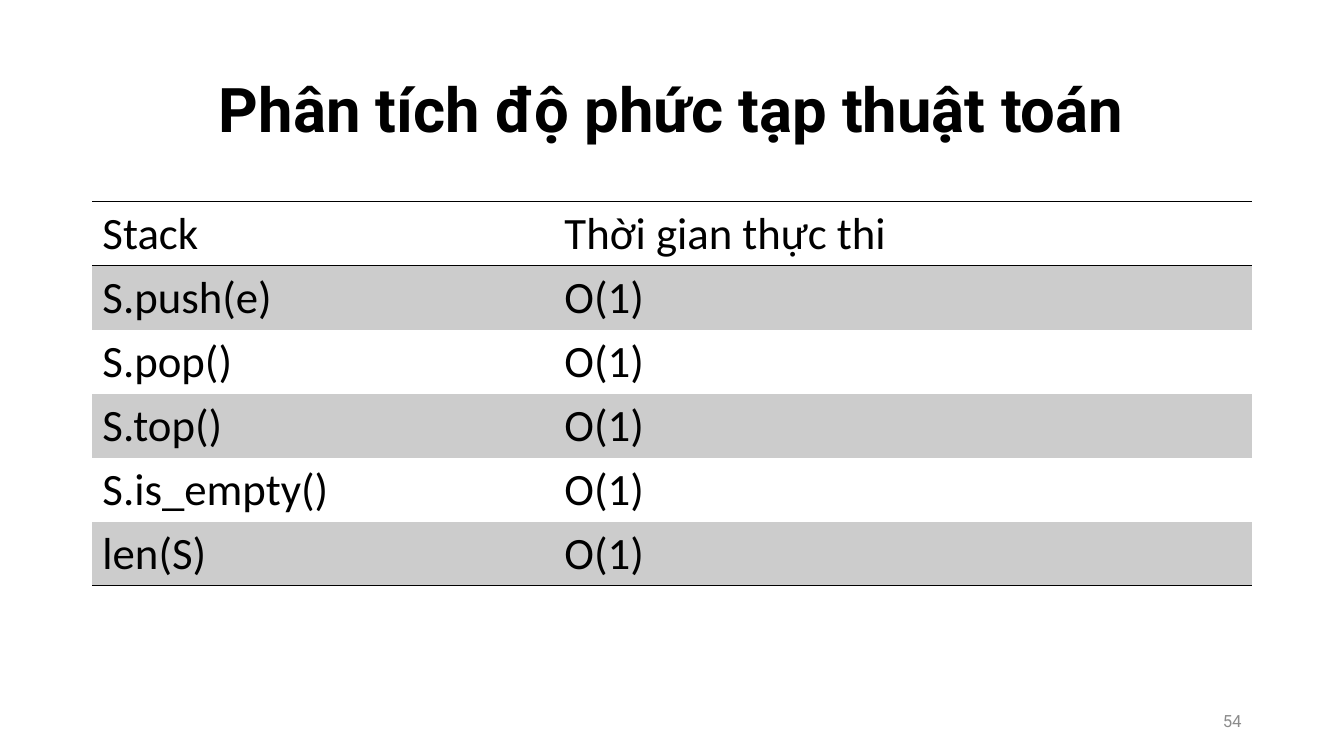
from dataclasses import dataclass

from lxml.etree import SubElement as Sub
from pptx import Presentation
from pptx.dml.color import RGBColor as Rgb
from pptx.enum.text import MSO_ANCHOR as Anchor, PP_ALIGN as Align
from pptx.oxml.ns import qn
from pptx.util import Pt

PX = 9525  # EMU in one px, at 96 px to the inch
PLAIN = "{2D5ABB26-0587-4C30-8999-92F81FD0307C}"  # table style without grid


@dataclass(frozen=True)
class Theme:
    ink: str = "000000"
    band: str = "CCCCCC"
    mute: str = "8C8C8C"
    head: str = "Roboto"
    body: str = "Calibri"
    big: int = 44
    mid: int = 32
    small: int = 12
    rule: int = 1


THEME = Theme()
ROWS = [("Stack", "Thời gian thực thi")] + [
    (call, "O(1)")
    for call in ("S.push(e)", "S.pop()", "S.top()", "S.is_empty()", "len(S)")
]


def emu(box):
    return [n * PX for n in box]


def style(par, face, size, color, bold=False):
    font = par.font
    font.name, font.size, font.bold = face, Pt(size), bold
    font.color.rgb = Rgb.from_string(color)


def label(slide, box, text, align, size, color, bold=False):
    frame = slide.shapes.add_textbox(*emu(box)).text_frame
    frame.word_wrap = True
    frame.vertical_anchor = Anchor.MIDDLE
    par = frame.paragraphs[0]
    par.text, par.alignment = text, align
    style(par, THEME.head, size, color, bold)
    return par


def title(slide, box, text):
    par = label(slide, box, text, Align.CENTER, THEME.big, THEME.ink, True)
    par.line_spacing = 0.9


def number(slide, box, text):
    label(slide, box, text, Align.RIGHT, THEME.small, THEME.mute)


def edge(cell, side):
    line = Sub(cell._tc.get_or_add_tcPr(), qn(f"a:ln{side}"),
               w=str(Pt(THEME.rule)))
    fill = Sub(line, qn("a:solidFill"))
    Sub(fill, qn("a:srgbClr"), val=THEME.ink)


def grid(slide, box, rows, first):
    shape = slide.shapes.add_table(len(rows), len(rows[0]), *emu(box))
    table = shape.table
    table._tbl.tblPr.find(qn("a:tableStyleId")).text = PLAIN
    for col, wide in zip(table.columns, (first, box[2] - first)):
        col.width = wide * PX

    for r, row in enumerate(rows):
        for c, text in enumerate(row):
            cell = table.cell(r, c)
            cell.text = text
            style(cell.text_frame.paragraphs[0],
                  THEME.body, THEME.mid, THEME.ink)
            # Rules around the header and under the last row
            if r == 0:
                edge(cell, "T")
            if r in (0, len(rows) - 1):
                edge(cell, "B")
            # Grey band on every second row
            if r % 2:
                cell.fill.solid()
                cell.fill.fore_color.rgb = Rgb.from_string(THEME.band)
            else:
                cell.fill.background()


def main():
    deck = Presentation()
    deck.slide_width, deck.slide_height = emu((1280, 720))
    slide = deck.slides.add_slide(deck.slide_layouts[6])

    left, wide = 88, 1104
    title(slide, (left, 38, wide, 139), "Phân tích độ phức tạp thuật toán")
    grid(slide, (left, 192, wide, 366), ROWS, 440)
    number(slide, (904, 667, 288, 38), "54")

    deck.save("out.pptx")


if __name__ == "__main__":
    main()
